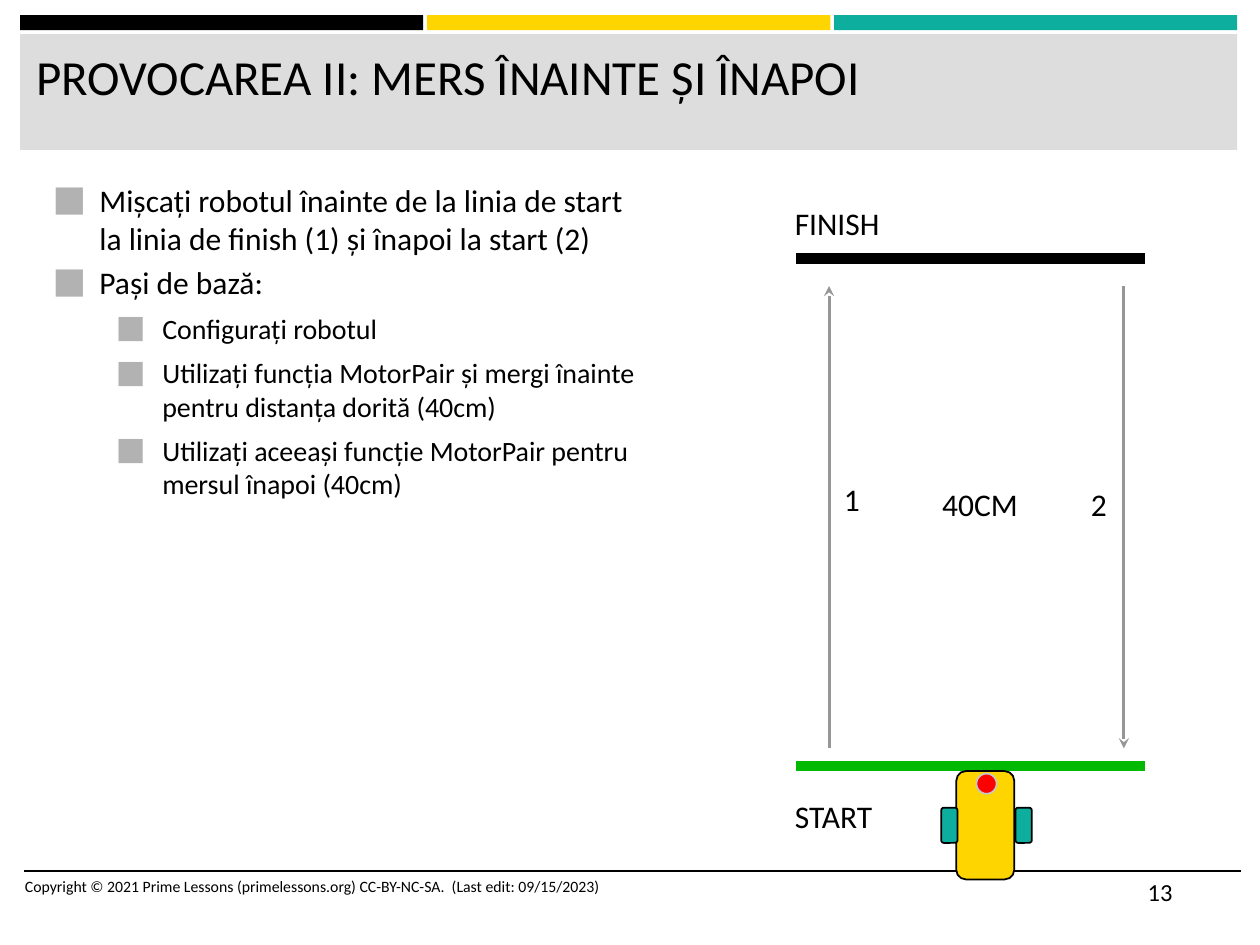
from lxml import etree
from pptx import Presentation
from pptx.dml.color import RGBColor
from pptx.enum import shapes, text
from pptx.oxml import ns
from pptx import util as u

SCALE = 9144  # EMU per px, 100 px to the inch
BLACK, YELLOW, TEAL = "000000", "FFD500", "0EAE9F"
FONT = "Calibri"
KIND = shapes.MSO_SHAPE


def px(n):
    return u.Emu(n * SCALE)


def color(code):
    return RGBColor.from_string(code)


def sub(parent, tag, **attrs):
    return etree.SubElement(parent, ns.qn(tag), **attrs)


def add_box(parts, kind, x, y, w, h, fill, line=None):
    box = parts.add_shape(kind, px(x), px(y), px(w), px(h))
    box.shadow.inherit = False
    box.fill.solid()
    box.fill.fore_color.rgb = color(fill)
    if line:
        box.line.color.rgb = color(line)
        box.line.width = u.Pt(1)
    else:
        box.line.fill.background()
    return box


def add_line(parts, x1, y1, x2, y2, code, width, arrow=False):
    line = parts.add_connector(shapes.MSO_CONNECTOR.STRAIGHT,
                               px(x1), px(y1), px(x2), px(y2))
    line.line.color.rgb = color(code)
    line.line.width = u.Pt(width)
    if arrow:
        sub(line.line._get_or_add_ln(), "a:tailEnd", type="stealth")
    sub(line._element.spPr, "a:effectLst")


def style(para, size):
    for run in para.runs:
        run.font.size = u.Pt(size)
        run.font.name = FONT
        run.font.color.rgb = color(BLACK)


def add_text(parts, x, y, w, h, words, size):
    frame = parts.add_textbox(px(x), px(y), px(w), px(h)).text_frame
    frame.word_wrap = True
    frame.auto_size = text.MSO_AUTO_SIZE.NONE
    frame.text = words
    for para in frame.paragraphs:
        style(para, size)
    return frame


def add_head(parts, x, y, w, title):
    """Three colour bars above a grey title band."""
    for i, fill in enumerate((BLACK, YELLOW, TEAL)):
        add_box(parts, KIND.RECTANGLE, x + 323 * i, y, 320, 12, fill)
    add_box(parts, KIND.RECTANGLE, x, y + 15, w, 92, "DDDDDD")
    add_text(parts, x + 3, y + 20, w - 9, 82, title, 28)


def add_foot(parts, x, y, w, credit, number):
    add_line(parts, x, y, x + w, y, BLACK, 1)
    add_text(parts, x - 9, y, 533, 40, credit, 9)
    add_text(parts, x + w - 84, y, 84, 40, number, 14)


def add_list(parts, x, y, w, h, items):
    frame = add_text(parts, x, y, w, h, "\n".join(t for _, t in items), 18)
    for i, (para, (level, _)) in enumerate(zip(frame.paragraphs, items)):
        para.level = level
        if i:
            para.space_before = u.Pt(6 if level else 3.6)
        props = para._p.get_or_add_pPr()
        props.set("marL", str(px(50 * (level + 1))))
        props.set("indent", str(px(-36)))
        sub(sub(props, "a:buClr"), "a:srgbClr", val="B2B2B2")
        sub(props, "a:buFont", typeface=FONT)
        sub(props, "a:buChar", char="⬛")
        style(para, 16 if level else 18)


def add_robot(parts, x, y):
    """Yellow body, two wheels and a red sensor in one group."""
    robot = parts.add_group_shape().shapes
    add_box(robot, KIND.ROUNDED_RECTANGLE, x + 12, y, 46, 86, YELLOW, BLACK)
    for left in (59, 0):
        add_box(robot, KIND.ROUNDED_RECTANGLE, x + left, y + 29, 13, 28,
                TEAL, BLACK)
    add_box(robot, KIND.OVAL, x + 28, y + 2, 16, 16, "FF0000", "C6C6C6")


def add_track(parts, x, y, w, h):
    """Finish line above start line, with the two runs between them."""
    low = y + h
    add_line(parts, x, y, x + w, y, BLACK, 6)
    add_line(parts, x, low, x + w, low, "00B900", 6)
    out, back = x + 26, x + w - 17
    add_line(parts, out, low - 14, out, y + 22, "969696", 1.75, True)
    add_line(parts, back, y + 22, back, low - 14, "969696", 1.75, True)
    for left, top, wide, words in (
            (28, 171, 34, "1"), (224, 175, 34, "2"), (106, 175, 90, "40CM"),
            (-11, -48, 103, "FINISH"), (-11, h + 20, 100, "START")):
        add_text(parts, x + left, y + top, wide, 40, words, 18)
    add_robot(parts, x + 115, low + 4)


def main():
    deck = Presentation()
    deck.slide_width, deck.slide_height = px(1000), px(750)
    parts = deck.slides.add_slide(deck.slide_layouts[6]).shapes
    add_head(parts, 16, 12, 966, "PROVOCAREA II: MERS ÎNAINTE ȘI ÎNAPOI")
    add_list(parts, 19, 139, 498, 478, (
        (0, "Mișcați robotul înainte de la linia de start la linia de finish "
            "(1) și înapoi la start (2)"),
        (0, "Pași de bază:"),
        (1, "Configurați robotul"),
        (1, "Utilizați funcția MotorPair și mergi înainte pentru distanța "
            "dorită (40cm)"),
        (1, "Utilizați aceeași funcție MotorPair pentru mersul înapoi "
            "(40cm)")))
    add_foot(parts, 19, 691, 966,
             "Copyright © 2021 Prime Lessons (primelessons.org) CC-BY-NC-SA.  "
             "(Last edit: 09/15/2023)", "13")
    add_track(parts, 632, 205, 277, 403)
    deck.save("out.pptx")


if __name__ == "__main__":
    main()
